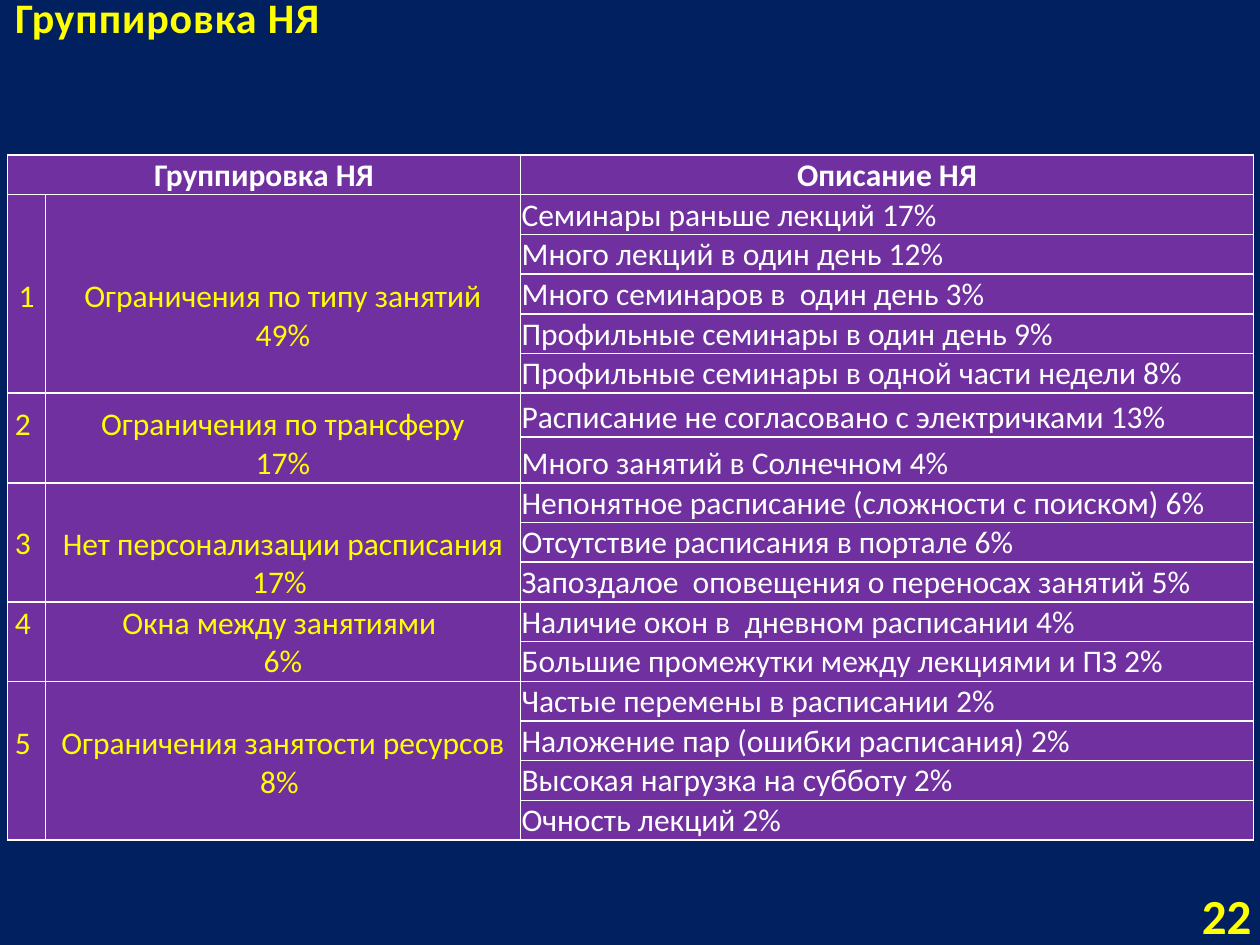
from pptx import Presentation
from pptx.dml.color import RGBColor
from pptx.enum.text import MSO_ANCHOR, PP_ALIGN
from pptx.oxml.ns import qn
from pptx.util import Pt
from lxml.etree import SubElement

HUES = {"back": "002060", "cell": "7030A0", "mark": "FFFF00", "text": "FFFFFF"}
FACE = "Calibri"
LINE = 22
ROW = 22.7
TALL = {6: 25, 7: 26.3}
COLS = [21.7, 271.4, 419]
HEADS = ["Группировка НЯ", "Описание НЯ"]
GROUPS = [
    ("1", "Ограничения по типу занятий\n49%", 1, [
        "Семинары раньше лекций 17%",
        "Много лекций в один день 12%",
        "Много семинаров в  один день 3%",
        "Профильные семинары в один день 9%",
        "Профильные семинары в одной части недели 8%"]),
    ("2 ", "Ограничения по трансферу\n17%", 0, [
        "Расписание не согласовано с электричками 13%",
        "Много занятий в Солнечном 4%"]),
    ("3 ", "Нет персонализации расписания\n17% ", 0, [
        "Непонятное расписание (сложности с поиском) 6%",
        "Отсутствие расписания в портале 6%",
        "Запоздалое  оповещения о переносах занятий 5%"]),
    ("4 ", "Окна между занятиями \n6%", 0, [
        "Наличие окон в  дневном расписании 4%",
        "Большие промежутки между лекциями и ПЗ 2%"]),
    ("5 ", "Ограничения занятости ресурсов\n8% ", 1, [
        "Частые перемены в расписании 2%",
        "Наложение пар (ошибки расписания) 2%",
        "Высокая нагрузка на субботу 2%",
        "Очность лекций 2%"]),
]


def color(name):
    return RGBColor.from_string(HUES[name])


def write(frame, text, size=18, hue="text", bold=False, align=PP_ALIGN.LEFT, space=0):
    frame.word_wrap = True
    for i, line in enumerate(text.split("\n")):
        para = frame.add_paragraph() if i else frame.paragraphs[0]
        para.alignment = align
        run = para.add_run()
        run.text = line
        font = run.font
        font.name, font.size, font.bold = FACE, Pt(size), bold
        font.color.rgb = color(hue)
        if space:
            run._r.get_or_add_rPr().set("spc", str(int(space * 100)))


class Deck:
    def __init__(self):
        self.file = Presentation()
        self.file.slide_width, self.file.slide_height = Pt(720), Pt(540)
        self.slide = self.file.slides.add_slide(self.file.slide_layouts[5])
        fill = self.slide.background.fill
        fill.solid()
        fill.fore_color.rgb = color("back")

    def title(self, text, box, **style):
        shape = self.slide.shapes.title
        shape.left, shape.top, shape.width, shape.height = map(Pt, box)
        shape.text_frame.vertical_anchor = MSO_ANCHOR.MIDDLE
        write(shape.text_frame, text, **style)

    def label(self, text, box, **style):
        frame = self.slide.shapes.add_textbox(*map(Pt, box)).text_frame
        frame.vertical_anchor = MSO_ANCHOR.MIDDLE
        write(frame, text, **style)

    def grid(self, left, top, cols, rows):
        box = map(Pt, (left, top, sum(cols), sum(rows)))
        table = self.slide.shapes.add_table(len(rows), len(cols), *box).table
        table.first_row = table.horz_banding = False
        for col, width in zip(table.columns, cols):
            col.width = Pt(width)
        for row, height in zip(table.rows, rows):
            row.height = Pt(height)
        for cell in table.iter_cells():
            self.paint(cell)
        return table

    def paint(self, cell):
        cell.margin_left = cell.margin_right = cell.margin_top = Pt(0.7)
        cell.margin_bottom = Pt(0)
        cell.vertical_anchor = MSO_ANCHOR.BOTTOM
        props = cell._tc.get_or_add_tcPr()
        for side in ("a:lnL", "a:lnR", "a:lnT", "a:lnB"):
            edge = SubElement(props, qn(side), w=str(Pt(1)))
            paint = SubElement(edge, qn("a:solidFill"))
            SubElement(paint, qn("a:srgbClr"), val=HUES["text"])
        cell.fill.solid()
        cell.fill.fore_color.rgb = color("cell")

    def cell(self, cell, text, lift=0, **style):
        cell.margin_bottom = Pt(lift * LINE)
        write(cell.text_frame, text, **style)


def main():
    deck = Deck()
    deck.title("Группировка НЯ", (1.4, -11.5, 345, 42.5),
               size=24, hue="mark", bold=True, space=0.5)
    count = 1 + sum(len(items) for *_, items in GROUPS)
    rows = [TALL.get(i, ROW) for i in range(count)]
    table = deck.grid(4.3, 88.6, COLS, rows)

    table.cell(0, 0).merge(table.cell(0, 1))
    for col, head in zip((0, 2), HEADS):
        deck.cell(table.cell(0, col), head, bold=True, align=PP_ALIGN.CENTER)

    row = 1
    for mark, name, lift, items in GROUPS:
        last = row + len(items) - 1
        for col, text, rise in ((0, mark, lift + 1), (1, name, lift)):
            table.cell(row, col).merge(table.cell(last, col))
            deck.cell(table.cell(row, col), text, lift=rise,
                      hue="mark", align=PP_ALIGN.CENTER)
        for i, item in enumerate(items):
            deck.cell(table.cell(row + i, 2), item)
        row = last + 1

    deck.label("22", (653.8, 508.3, 68.4, 28.8),
               size=28, hue="mark", bold=True, align=PP_ALIGN.RIGHT)
    deck.file.save("out.pptx")


if __name__ == "__main__":
    main()
